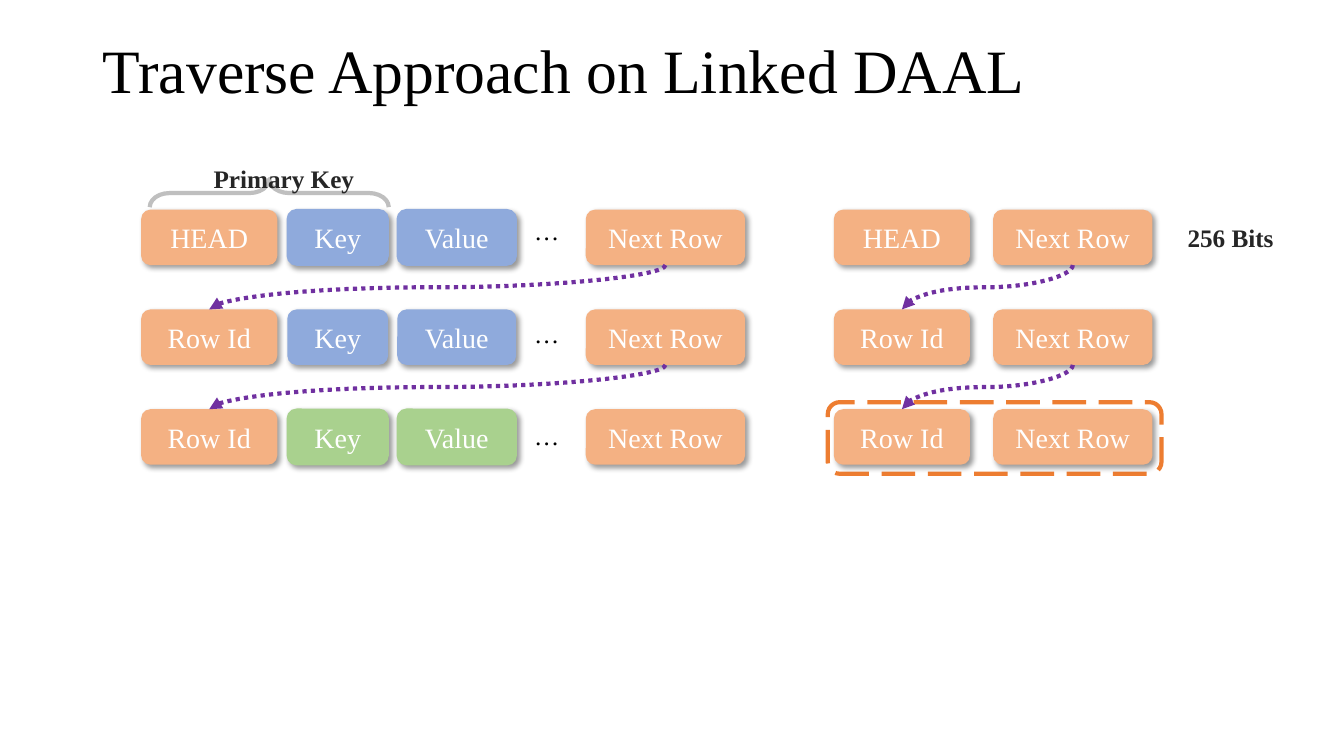
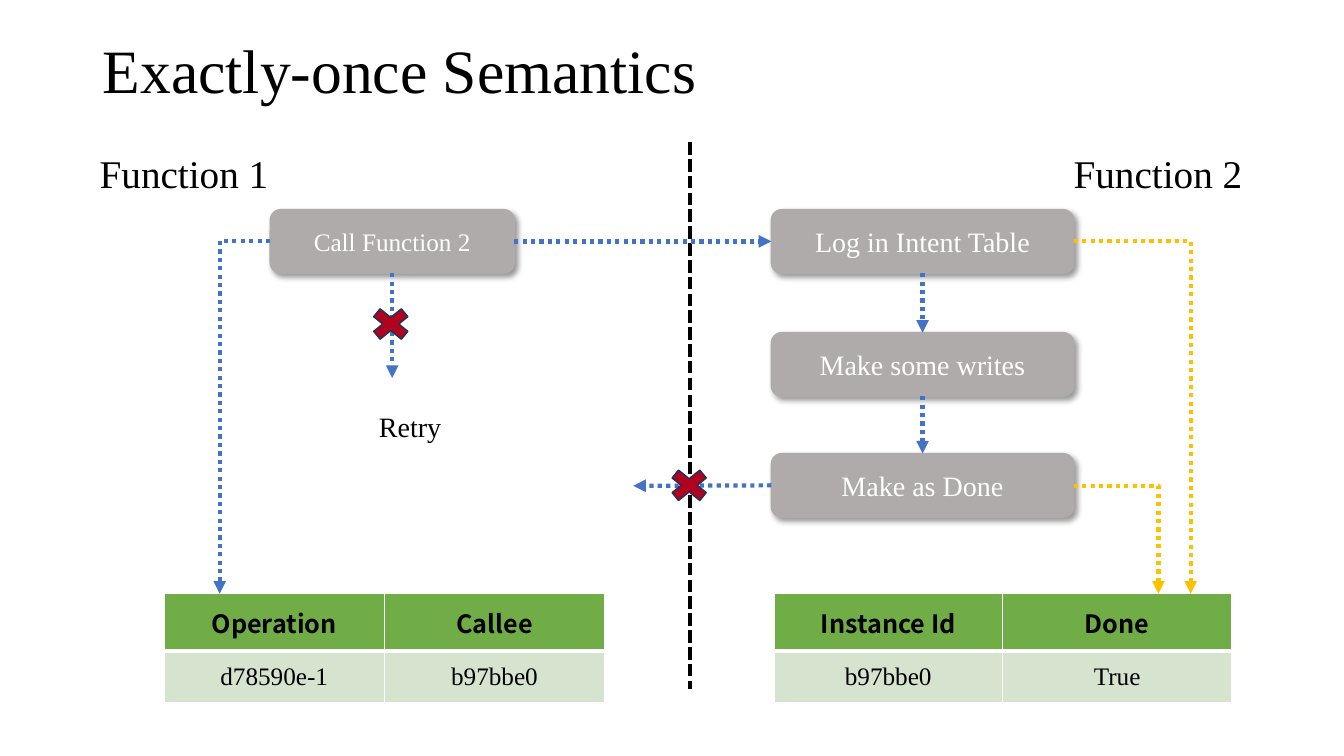
"""Build two slides on linked DAAL traversal and exactly-once semantics."""
import dataclasses
import typing

import lxml.etree
import pptx
import pptx.dml.color
import pptx.enum.dml
import pptx.enum.shapes
import pptx.enum.text
import pptx.oxml.ns
import pptx.presentation
import pptx.shapes.autoshape
import pptx.shapes.connector
import pptx.slide
import pptx.text.text
import pptx.util

Inches = pptx.util.Inches
Pt = pptx.util.Pt
RGBColor = pptx.dml.color.RGBColor
Shape = pptx.enum.shapes.MSO_SHAPE
Connector = pptx.enum.shapes.MSO_CONNECTOR
Dash = pptx.enum.dml.MSO_LINE
Align = pptx.enum.text.PP_ALIGN
Anchor = pptx.enum.text.MSO_ANCHOR
AutoSize = pptx.enum.text.MSO_AUTO_SIZE
qn = pptx.oxml.ns.qn

BLACK = RGBColor(0x00, 0x00, 0x00)
WHITE = RGBColor(0xFF, 0xFF, 0xFF)
CHARCOAL = RGBColor(0x26, 0x26, 0x26)
GRAY = RGBColor(0xAF, 0xAB, 0xAB)
BRACE_GRAY = RGBColor(0xBF, 0xBF, 0xBF)
PEACH = RGBColor(0xF4, 0xB1, 0x83)
ORANGE = RGBColor(0xED, 0x7D, 0x31)
PALE_BLUE = RGBColor(0x8F, 0xAA, 0xDC)
BLUE = RGBColor(0x44, 0x72, 0xC4)
NAVY = RGBColor(0x1E, 0x32, 0x56)
PALE_GREEN = RGBColor(0xA9, 0xD1, 0x8E)
GREEN = RGBColor(0x70, 0xAD, 0x47)
MINT = RGBColor(0xD5, 0xE3, 0xCF)
PURPLE = RGBColor(0x70, 0x30, 0xA0)
GOLD = RGBColor(0xFF, 0xC0, 0x00)
RED = RGBColor(0xB1, 0x03, 0x1F)

SERIF = "Times New Roman"
SANS = "Noto Sans CJK SC"
TOP, LEFT, BOTTOM, RIGHT = range(4)
ROW_TOP, ROW_PITCH, ROW_HEIGHT = 2.08, 0.99, 0.55
STEP_HEIGHT = 0.63


@dataclasses.dataclass(frozen=True)
class Box:
    """A rounded, shadowed box with centred text."""

    text: str
    left: float
    top: float
    width: float
    height: float
    fill: RGBColor
    outlined: bool = False
    size: int = 20


@dataclasses.dataclass(frozen=True)
class Label:
    """A free text label."""

    text: str
    left: float
    top: float
    width: float
    height: float
    size: int = 18
    color: RGBColor = BLACK
    bold: bool = False
    wrap: bool = False


@dataclasses.dataclass(frozen=True)
class LogTable:
    """A two-row table with a header."""

    left: float
    widths: tuple[float, float]
    rows: tuple[tuple[str, str], tuple[str, str]]


def write_text(frame: pptx.text.text.TextFrame, text: str, *, size: int = 18,
               color: RGBColor = BLACK, bold: bool = False, font: str = SERIF,
               align: Align = Align.LEFT) -> None:
    """Fill a text frame with one formatted paragraph."""
    paragraph = frame.paragraphs[0]
    paragraph.alignment = align
    run = paragraph.add_run()
    run.text = text
    run.font.name = font
    run.font.size = Pt(size)
    run.font.bold = bold
    run.font.color.rgb = color


def add_titled_slide(deck: pptx.presentation.Presentation, text: str) -> pptx.slide.Slide:
    """Add a title-only slide with the shared title style."""
    slide = deck.slides.add_slide(deck.slide_layouts[5])
    title = slide.shapes.title
    title.left, title.top = Inches(0.92), Inches(0)
    title.width, title.height = Inches(11.5), Inches(1.45)
    frame = title.text_frame
    frame.auto_size = AutoSize.NONE
    frame.vertical_anchor = Anchor.MIDDLE
    write_text(frame, text, size=44)
    frame.paragraphs[0].line_spacing = 0.9
    return slide


def add_preset(slide: pptx.slide.Slide, preset: Shape, left: float, top: float, width: float,
               height: float, *, fill: RGBColor | None = None, line: RGBColor | None = None,
               line_width: float = 1, rotation: float = 0) -> pptx.shapes.autoshape.Shape:
    """Add a preset shape with explicit fill and line and no shadow."""
    shape = slide.shapes.add_shape(preset, Inches(left), Inches(top), Inches(width), Inches(height))
    shape.rotation = rotation
    shape.shadow.inherit = False
    if fill is None:
        shape.fill.background()
    else:
        shape.fill.solid()
        shape.fill.fore_color.rgb = fill
    if line is None:
        shape.line.fill.background()
    else:
        shape.line.color.rgb = line
        shape.line.width = Pt(line_width)
    return shape


def add_box(slide: pptx.slide.Slide, box: Box) -> pptx.shapes.autoshape.Shape:
    """Draw a rounded box with its drop shadow."""
    shape = add_preset(slide, Shape.ROUNDED_RECTANGLE, box.left, box.top, box.width, box.height,
                       fill=box.fill, line=box.fill if box.outlined else None)
    effects = shape.element.spPr.find(qn("a:effectLst"))
    shadow = lxml.etree.SubElement(effects, qn("a:outerShdw"), blurRad=str(Pt(4)), dist=str(Pt(3)),
                                   dir="2700000", algn="tl", rotWithShape="0")
    tint = lxml.etree.SubElement(shadow, qn("a:srgbClr"), val=str(BLACK))
    lxml.etree.SubElement(tint, qn("a:alpha"), val="40000")
    shape.text_frame.vertical_anchor = Anchor.MIDDLE
    write_text(shape.text_frame, box.text, size=box.size, color=WHITE, align=Align.CENTER)
    return shape


def add_label(slide: pptx.slide.Slide, label: Label) -> None:
    """Draw a text label."""
    frame = slide.shapes.add_textbox(Inches(label.left), Inches(label.top), Inches(label.width),
                                     Inches(label.height)).text_frame
    frame.word_wrap = label.wrap
    frame.auto_size = AutoSize.SHAPE_TO_FIT_TEXT
    write_text(frame, label.text, size=label.size, color=label.color, bold=label.bold)


def add_line(slide: pptx.slide.Slide, start: tuple[float, float], end: tuple[float, float],
             color: RGBColor, *, kind: Connector = Connector.STRAIGHT,
             dash: Dash = Dash.ROUND_DOT, arrow: bool = True) -> pptx.shapes.connector.Connector:
    """Draw a dashed connector, with an arrowhead at its end by default."""
    line = slide.shapes.add_connector(kind, *(Inches(value) for value in (*start, *end)))
    line.line.color.rgb = color
    line.line.width = Pt(3)
    line.line.dash_style = dash
    properties = line.element.spPr
    if arrow:
        lxml.etree.SubElement(properties.find(qn("a:ln")), qn("a:tailEnd"), type="triangle")
    lxml.etree.SubElement(properties, qn("a:effectLst"))
    return line


def add_elbow(slide: pptx.slide.Slide, start: tuple[float, float], end: tuple[float, float],
              color: RGBColor) -> None:
    """Draw an arrow that runs across and then down."""
    line = add_line(slide, start, end, color, kind=Connector.ELBOW)
    line.element.spPr.find(qn("a:prstGeom")).set("prst", "bentConnector2")


def add_row_link(slide: pptx.slide.Slide, source: pptx.shapes.autoshape.Shape,
                 target: pptx.shapes.autoshape.Shape) -> None:
    """Curve an arrow from the bottom of one box to the top of a lower-left box."""
    line = add_line(slide, (0, 0), (1, 1), PURPLE, kind=Connector.CURVE)
    line.begin_connect(source, BOTTOM)
    line.end_connect(target, TOP)
    start_x, start_y = source.left + source.width // 2, source.top + source.height
    end_x, end_y = target.left + target.width // 2, target.top
    line.width, line.height = end_y - start_y, start_x - end_x
    line.left = (start_x + end_x - line.width) // 2
    line.top = (start_y + end_y - line.height) // 2
    transform = line.element.spPr.find(qn("a:xfrm"))
    transform.attrib.pop("flipH", None)
    transform.attrib.pop("flipV", None)
    transform.set("rot", "5400000")


def add_log_table(slide: pptx.slide.Slide, log: LogTable) -> None:
    """Draw a table with a green header and white borders."""
    table = slide.shapes.add_table(2, 2, Inches(log.left), Inches(5.89), Inches(sum(log.widths)),
                                   Inches(1.08)).table
    for column, width in zip(table.columns, log.widths):
        column.width = Inches(width)
    for row, height in zip(table.rows, (0.57, 0.51)):
        row.height = Inches(height)
    for row_index, texts in enumerate(log.rows):
        header = row_index == 0
        for column_index, text in enumerate(texts):
            cell = table.cell(row_index, column_index)
            for side in "LRTB":
                heavy = side == ("B" if header else "T")
                border = lxml.etree.SubElement(cell._tc.get_or_add_tcPr(), qn(f"a:ln{side}"),
                                               w=str(Pt(3 if heavy else 1)))
                solid = lxml.etree.SubElement(border, qn("a:solidFill"))
                lxml.etree.SubElement(solid, qn("a:srgbClr"), val=str(WHITE))
            cell.fill.solid()
            cell.fill.fore_color.rgb = GREEN if header else MINT
            cell.vertical_anchor = Anchor.MIDDLE
            write_text(cell.text_frame, text, bold=header, font=SANS if header else SERIF,
                       align=Align.CENTER)


def add_chain(slide: pptx.slide.Slide, id_left: float, next_left: float) -> None:
    """Draw three linked rows, each with an id box and a next-row box."""
    ids, nexts = [], []
    for row, name in enumerate(("HEAD", "Row Id", "Row Id")):
        top = ROW_TOP + row * ROW_PITCH
        ids.append(add_box(slide, Box(name, id_left, top, 1.35, ROW_HEIGHT, PEACH)))
        nexts.append(add_box(slide, Box("Next Row", next_left, top, 1.58, ROW_HEIGHT, PEACH)))
    for source, target in zip(nexts, ids[1:]):
        add_row_link(slide, source, target)


def build_traverse(deck: pptx.presentation.Presentation) -> None:
    """Build the linked DAAL traversal slide."""
    slide = add_titled_slide(deck, "Traverse Approach on Linked DAAL")
    tail_frame = add_preset(slide, Shape.ROUNDED_RECTANGLE, 8.21, 3.99, 3.31, 0.71,
                            line=ORANGE, line_width=3)
    tail_frame.line.dash_style = Dash.LONG_DASH
    brace = add_preset(slide, Shape.LEFT_BRACE, 2.53, 0.73, 0.28, 2.37, line=BRACE_GRAY,
                       line_width=3, rotation=90)
    brace.adjustments[0], brace.adjustments[1] = 0.7, 0.5
    for row, fill in enumerate((PALE_BLUE, PALE_BLUE, PALE_GREEN)):
        top = ROW_TOP + row * ROW_PITCH
        for name, left, width in (("Key", 2.85, 1), ("Value", 3.94, 1.18)):
            add_box(slide, Box(name, left, top, width, ROW_HEIGHT, fill, outlined=row != 1))
        add_label(slide, Label("…", 5.2, 2.09 + row * 1.015, 0.6, 0.4, wrap=True))
    add_chain(slide, 1.4, 5.81)
    add_chain(slide, 8.27, 9.85)
    add_label(slide, Label("256 Bits", 11.68, 2.16, 1.06, 0.4, color=CHARCOAL, bold=True))
    add_label(slide, Label("Primary Key", 2.02, 1.57, 1.61, 0.4, color=CHARCOAL, bold=True))


def build_semantics(deck: pptx.presentation.Presentation) -> None:
    """Build the exactly-once semantics slide."""
    slide = add_titled_slide(deck, "Exactly-once Semantics")
    add_line(slide, (6.84, 1.41), (6.84, 6.84), BLACK, dash=Dash.SQUARE_DOT, arrow=False)
    for label in (Label("Function 1", 0.89, 1.43, 1.89, 0.57, size=28),
                  Label("Function 2", 10.55, 1.43, 1.89, 0.57, size=28),
                  Label("Retry", 3.66, 4.01, 0.82, 0.44, size=20)):
        add_label(slide, label)
    call = add_box(slide, Box("Call Function 2", 2.68, 2.08, 2.42, STEP_HEIGHT, GRAY, True, 18))
    steps = [add_box(slide, Box(name, 7.65, top, 3, STEP_HEIGHT, GRAY, True))
             for name, top in (("Log in Intent Table", 2.08), ("Make some writes", 3.3),
                               ("Make as Done", 4.5))]
    add_log_table(slide, LogTable(1.63, (2.18, 2.19),
                                  (("Operation", "Callee"), ("d78590e-1", "b97bbe0"))))
    add_log_table(slide, LogTable(7.68, (2.26, 2.28),
                                  (("Instance Id", "Done"), ("b97bbe0", "True"))))
    request = add_line(slide, (5.1, 2.39), (7.65, 2.39), BLUE)
    request.begin_connect(call, RIGHT)
    request.end_connect(steps[0], LEFT)
    for upper, lower in zip(steps, steps[1:]):
        advance = add_line(slide, (9.15, 2.71), (9.15, 3.3), BLUE)
        advance.begin_connect(upper, BOTTOM)
        advance.end_connect(lower, TOP)
    add_line(slide, (7.65, 4.82), (6.28, 4.82), BLUE).begin_connect(steps[2], LEFT)
    add_line(slide, (3.89, 2.71), (3.89, 3.75), BLUE).begin_connect(call, BOTTOM)
    add_elbow(slide, (2.68, 2.39), (2.18, 5.89), BLUE)
    add_elbow(slide, (10.65, 2.39), (11.81, 5.89), GOLD)
    add_elbow(slide, (10.65, 4.82), (11.49, 5.89), GOLD)
    for left, top in ((6.62, 4.55), (3.66, 2.95)):
        add_preset(slide, Shape.MATH_MULTIPLY, left, top, 0.43, 0.53, fill=RED, line=NAVY,
                   rotation=90)


def main() -> None:
    """Create and save the presentation."""
    deck = pptx.Presentation()
    deck.slide_width, deck.slide_height = Inches(13.33), Inches(7.5)
    builders: tuple[typing.Callable, ...] = (build_traverse, build_semantics)
    for build in builders:
        build(deck)
    deck.save("out.pptx")


if __name__ == "__main__":
    main()
